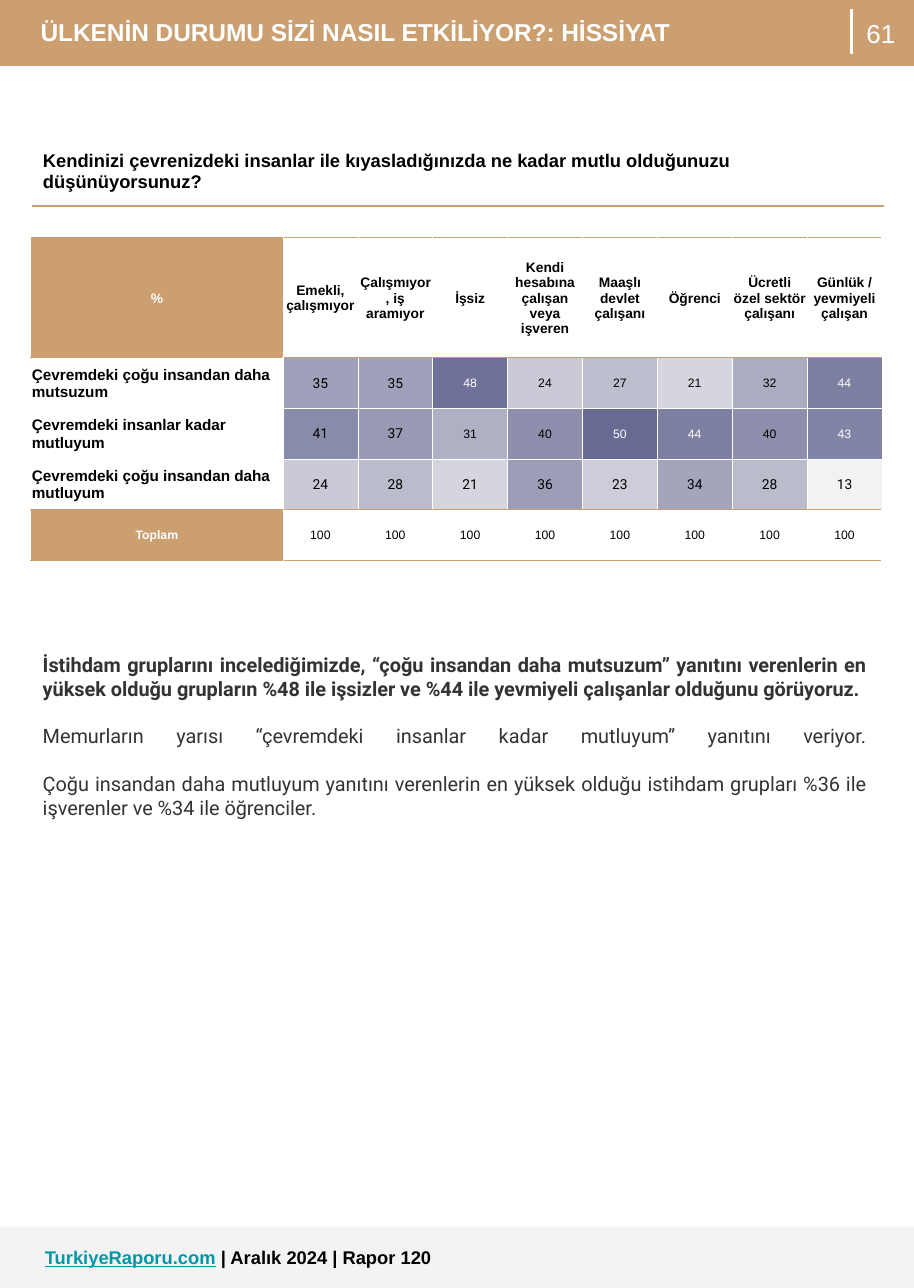
from lxml import etree
from pptx import Presentation
from pptx import util as u
from pptx.dml.color import RGBColor
from pptx.enum import shapes, text
from pptx.oxml.ns import qn

GOLD = RGBColor(0xCC, 0x9F, 0x71)
WHITE = RGBColor(0xFF, 0xFF, 0xFF)
BLACK = RGBColor(0, 0, 0)
PALE = RGBColor(0xF3, 0xF3, 0xF3)
TEAL = RGBColor(0x00, 0x97, 0xA7)
INK = RGBColor(0x33, 0x33, 0x33)
HEAT_LOW = RGBColor(0xF2, 0xF2, 0xF2)
HEAT_HIGH = RGBColor(0x67, 0x6A, 0x93)

COLUMNS, ROWS = 83, 117
LEFT, CENTER, JUSTIFY = text.PP_ALIGN.LEFT, text.PP_ALIGN.CENTER, text.PP_ALIGN.JUSTIFY
TOP, MIDDLE = text.MSO_ANCHOR.TOP, text.MSO_ANCHOR.MIDDLE

GROUPS = ["Emekli, çalışmıyor", "Çalışmıyor, iş aramıyor", "İşsiz",
          "Kendi hesabına çalışan veya işveren", "Maaşlı devlet çalışanı",
          "Öğrenci", "Ücretli özel sektör çalışanı", "Günlük / yevmiyeli çalışan"]
ANSWERS = {
    "Çevremdeki çoğu insandan daha mutsuzum": [35, 35, 48, 24, 27, 21, 32, 44],
    "Çevremdeki insanlar kadar mutluyum": [41, 37, 31, 40, 50, 44, 40, 43],
    "Çevremdeki çoğu insandan daha mutluyum": [24, 28, 21, 36, 23, 34, 28, 13],
}
LOWEST, HIGHEST, WHITE_FROM = 13, 50, 43


def heat(value):
    share = (value - LOWEST) / (HIGHEST - LOWEST)
    return RGBColor(*(round(a + (b - a) * share) for a, b in zip(HEAT_LOW, HEAT_HIGH)))


class ReportPage:
    def __init__(self, deck):
        self.col = deck.slide_width / COLUMNS
        self.row = deck.slide_height / ROWS
        self.slide = deck.slides.add_slide(deck.slide_layouts[6])

    def place(self, left, top, width, height):
        return (round(left * self.col), round(top * self.row),
                round(width * self.col), round(height * self.row))

    def style(self, paragraph, size, color, bold=False, font="Arial", align=LEFT):
        paragraph.alignment = align
        paragraph.font.name = font
        paragraph.font.size = u.Pt(size)
        paragraph.font.bold = bold
        paragraph.font.color.rgb = color

    def band(self, top, height, color):
        band = self.slide.shapes.add_shape(
            shapes.MSO_SHAPE.RECTANGLE, *self.place(0, top, COLUMNS, height))
        band.shadow.inherit = False
        band.fill.solid()
        band.fill.fore_color.rgb = color
        band.line.fill.background()

    def rule(self, x, top, bottom, color, weight):
        left, start, _, height = self.place(x, top, 0, bottom - top)
        rule = self.slide.shapes.add_connector(
            shapes.MSO_CONNECTOR.STRAIGHT, left, start, left, start + height)
        rule.line.color.rgb = color
        rule.line.width = u.Pt(weight)
        etree.SubElement(rule._element.spPr, qn("a:effectLst"))

    def words(self, box, content="", anchor=TOP, **style):
        frame = self.slide.shapes.add_textbox(*self.place(*box)).text_frame
        frame.word_wrap = True
        frame.vertical_anchor = anchor
        frame.margin_left = frame.margin_right = u.Inches(0.1)
        frame.margin_top = frame.margin_bottom = u.Inches(0.1)
        frame.paragraphs[0].text = content
        self.style(frame.paragraphs[0], **style)
        return frame

    def table(self, left, top, widths, heights):
        frame = self.slide.shapes.add_table(
            len(heights), len(widths), *self.place(left, top, sum(widths), sum(heights)))
        table = frame.table
        table.first_row = table.horz_banding = False
        for column, width in zip(table.columns, widths):
            column.width = round(width * self.col)
        for row, height in zip(table.rows, heights):
            row.height = round(height * self.row)
        return table

    def cell(self, cell, content, borders, fill=None, inset=0.01, anchor=MIDDLE, **style):
        cell.margin_left = cell.margin_right = cell.margin_top = u.Inches(inset)
        cell.margin_bottom = u.Inches(inset if inset > 0.05 else 0)
        cell.vertical_anchor = anchor
        properties = cell._tc.get_or_add_tcPr()
        for side, (color, weight) in zip("LRTB", borders):
            line = etree.SubElement(properties, qn(f"a:ln{side}"), w=str(u.Pt(weight)))
            solid = etree.SubElement(line, qn("a:solidFill"))
            etree.SubElement(solid, qn("a:srgbClr"), val=str(color))
        if fill is None:
            cell.fill.background()
        else:
            cell.fill.solid()
            cell.fill.fore_color.rgb = fill
        paragraph = cell.text_frame.paragraphs[0]
        paragraph.text = content
        self.style(paragraph, **style)


def answer_borders(row, column):
    answer = 1 <= row <= 3
    inner = 1.5 if column == 0 else 0.5
    left = 1 if column == 0 else 1.5 if answer and column == 1 else 0.5
    wide_right = column == 0 if answer else column == len(GROUPS)
    edges = [(WHITE, inner) if edge in (2, 3) else (GOLD, 1) for edge in (row, row + 1)]
    return [(WHITE, left), (WHITE, 1.5 if wide_right else 0.5), *edges]


def add_answers(page):
    table = page.table(2.8, 21.6, [22.9] + [6.8] * len(GROUPS), [10.9] + [4.6] * 4)

    def put(row, column, content, **style):
        page.cell(table.cell(row, column), content, answer_borders(row, column), **style)

    put(0, 0, "%", fill=GOLD, size=9, color=WHITE, bold=True, align=CENTER)
    put(4, 0, "Toplam", fill=GOLD, size=8, color=WHITE, bold=True, align=CENTER)
    for column, group in enumerate(GROUPS, 1):
        put(0, column, group, size=9, color=BLACK, bold=True, align=CENTER)
        put(4, column, "100", size=8, color=BLACK, align=CENTER)
    for row, (answer, values) in enumerate(ANSWERS.items(), 1):
        put(row, 0, answer, size=10, color=BLACK, bold=True)
        for column, value in enumerate(values, 1):
            roboto = column <= 2 or row == 3
            put(row, column, str(value), fill=heat(value), align=CENTER,
                color=WHITE if value >= WHITE_FROM else BLACK,
                size=9 if roboto else 8, font="Roboto" if roboto else "Arial")


def main():
    deck = Presentation()
    deck.slide_width, deck.slide_height = u.Inches(8.3), u.Inches(11.7)
    page = ReportPage(deck)

    page.band(0, 6, GOLD)
    page.words((2.7, 0.6, 74.6, 4.7), "ÜLKENİN DURUMU SİZİ NASIL ETKİLİYOR?: HİSSİYAT",
               size=16, color=WHITE, bold=True)
    page.words((77.3, -1.5, 5.4, 9), "61", anchor=MIDDLE, size=17, color=WHITE, align=CENTER)
    page.rule(77.3, 0.8, 4.9, WHITE, 2.25)

    question = page.table(2.9, 12.7, [77.4], [6])
    page.cell(question.cell(0, 0),
              "Kendinizi çevrenizdeki insanlar ile kıyasladığınızda ne kadar mutlu "
              "olduğunuzu düşünüyorsunuz?",
              [(WHITE, 0.75)] * 3 + [(GOLD, 1)], fill=WHITE, inset=0.1, anchor=TOP,
              size=12, color=BLACK, bold=True)
    add_answers(page)

    body = dict(size=13, color=INK, font="Roboto", align=JUSTIFY)
    findings = page.words(
        (2.9, 58.3, 76.7, 31.5),
        "İstihdam gruplarını incelediğimizde, “çoğu insandan daha mutsuzum” yanıtını "
        "verenlerin en yüksek olduğu grupların %48 ile işsizler ve %44 ile yevmiyeli "
        "çalışanlar olduğunu görüyoruz.", bold=True, **body)
    civil_servants = findings.add_paragraph()
    civil_servants.text = ("Memurların yarısı “çevremdeki insanlar kadar mutluyum” "
                           "yanıtını veriyor.\v")
    civil_servants.space_before = u.Pt(15)
    page.style(civil_servants, **body)
    happier = findings.add_paragraph()
    happier.text = ("Çoğu insandan daha mutluyum yanıtını verenlerin en yüksek olduğu "
                    "istihdam grupları %36 ile işverenler ve %34 ile öğrenciler.")
    page.style(happier, **body)

    page.band(111.4, 5.6, PALE)
    footer = page.words((3.1, 112.2, 69.6, 4.5), size=12, color=BLACK, bold=True).paragraphs[0]
    site = footer.add_run()
    site.text = "TurkiyeRaporu.com"
    site.font.color.rgb = TEAL
    site.font.underline = True
    footer.add_run().text = " | Aralık 2024 | Rapor 120"

    deck.save("out.pptx")


if __name__ == "__main__":
    main()
